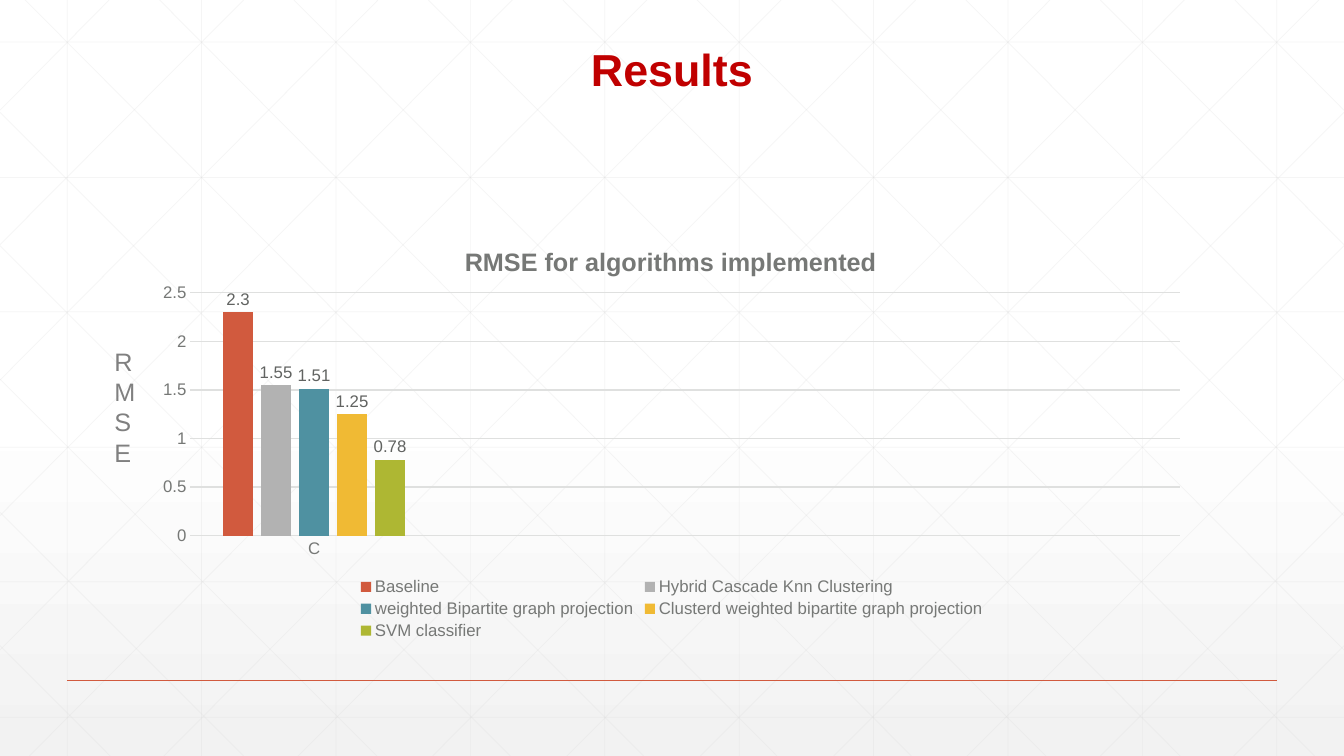
from lxml import etree
from pptx import Presentation
from pptx.chart.data import CategoryChartData
from pptx.dml.color import RGBColor
from pptx.enum.chart import XL_CHART_TYPE, XL_LABEL_POSITION, XL_LEGEND_POSITION, XL_TICK_MARK
from pptx.enum.shapes import MSO_CONNECTOR
from pptx.enum.text import MSO_ANCHOR, PP_ALIGN
from pptx.oxml import parse_xml
from pptx.oxml.ns import nsdecls, qn
from pptx.util import Pt

PX = 9525
WIDTH, HEIGHT = 1280, 720
FONT = "Arial"

STRAIGHT = MSO_CONNECTOR.STRAIGHT
COLUMNS = XL_CHART_TYPE.COLUMN_CLUSTERED
OUTSIDE_END = XL_LABEL_POSITION.OUTSIDE_END
BOTTOM = XL_LEGEND_POSITION.BOTTOM
NO_TICK = XL_TICK_MARK.NONE

WHITE = RGBColor(0xFF, 0xFF, 0xFF)
PALE_GREY = RGBColor(0xF2, 0xF2, 0xF2)
LATTICE_GREY = RGBColor(0xD9, 0xD9, 0xD9)
GRID_GREY = RGBColor(0xDF, 0xE0, 0xDF)
TEXT_GREY = RGBColor(0x76, 0x78, 0x76)
LABEL_GREY = RGBColor(0x61, 0x63, 0x61)
SIDE_GREY = RGBColor(0x80, 0x80, 0x80)
TITLE_RED = RGBColor(0xC0, 0x00, 0x00)
BRICK = RGBColor(0xD1, 0x5A, 0x3E)
SILVER = RGBColor(0xB2, 0xB2, 0xB2)
TEAL = RGBColor(0x4F, 0x91, 0xA1)
AMBER = RGBColor(0xF0, 0xBA, 0x34)
OLIVE = RGBColor(0xAE, 0xB7, 0x33)

ALGORITHMS = [
    ("Baseline", 2.3, BRICK),
    ("Hybrid Cascade Knn Clustering", 1.55, SILVER),
    ("weighted Bipartite graph projection", 1.51, TEAL),
    ("Clusterd weighted bipartite graph projection", 1.25, AMBER),
    ("SVM classifier", 0.78, OLIVE),
]


def style_font(font, size, color, bold=False):
    for name, value in {"name": FONT, "size": Pt(size), "bold": bold}.items():
        setattr(font, name, value)
    font.color.rgb = color


def draw_line(x1, y1, x2, y2, color, width, opacity=100):
    """Draw a shadowless line; opacity is in percent."""
    line = slide.shapes.add_connector(STRAIGHT, *(round(v) * PX for v in (x1, y1, x2, y2)))
    line.line.color.rgb = color
    line.line.width = Pt(width)
    properties = line._element.spPr
    etree.SubElement(properties, qn("a:effectLst"))
    if opacity < 100:
        rgb = properties.find(".//" + qn("a:srgbClr"))
        etree.SubElement(rgb, qn("a:alpha"), val=str(opacity * 1000))


prs = Presentation()
prs.slide_width, prs.slide_height = WIDTH * PX, HEIGHT * PX
slide = prs.slides.add_slide(prs.slide_layouts[6])

# Background
backdrop = slide.background.fill
backdrop.gradient()
backdrop.gradient_angle = 270
for stop, position, color in zip(backdrop.gradient_stops, (0.53, 1), (WHITE, PALE_GREY)):
    stop.position = position
    stop.color.rgb = color

# Lattice: verticals, horizontals, then diagonals with their mirror images
STEP, SLOPE = 128, 720 / 716
lattice = [(x, 0, x, HEIGHT) for x in range(64, WIDTH, STEP)]
lattice += [(0, 40 + 128.6 * i, WIDTH, 40 + 128.6 * i) for i in range(6)]
diagonals = []
for x in range(24, WIDTH, STEP):
    end = min(WIDTH, x + HEIGHT / SLOPE)
    diagonals.append((x, 0, end, (end - x) * SLOPE))
diagonals += [(0, y, HEIGHT - y, HEIGHT) for y in range(107, HEIGHT, 127)]
lattice += diagonals
lattice += [(WIDTH - x1, y1, WIDTH - x2, y2) for x1, y1, x2, y2 in diagonals]
for ends in lattice:
    draw_line(*ends, LATTICE_GREY, 0.5, 25)
draw_line(64, 648, 1216, 648, BRICK, 1)

# Slide title
heading = slide.shapes.add_textbox(136 * PX, 33 * PX, 1008 * PX, 63 * PX).text_frame
heading.word_wrap = True
heading.vertical_anchor = MSO_ANCHOR.BOTTOM
heading.text = "Results"
heading.paragraphs[0].alignment = PP_ALIGN.CENTER
heading.paragraphs[0].line_spacing = 0.9
style_font(heading.paragraphs[0].runs[0].font, 32, TITLE_RED, True)

# RMSE chart, with three empty categories after the first
errors = CategoryChartData()
errors.categories = ["C", "", "", ""]
for algorithm, rmse, _ in ALGORITHMS:
    errors.add_series(algorithm, (rmse, None, None, None))
chart = slide.shapes.add_chart(
    COLUMNS, 136 * PX, 213 * PX, 1008 * PX, 400 * PX, errors).chart
style_font(chart.font, 12, TEXT_GREY)

chart.has_title = True
chart_title = chart.chart_title.text_frame
chart_title.text = "RMSE for algorithms implemented"
style_font(chart_title.paragraphs[0].runs[0].font, 18, TEXT_GREY, True)

chart.has_legend = True
chart.legend.position = BOTTOM
chart.legend.include_in_layout = False
style_font(chart.legend.font, 12, TEXT_GREY)

columns = chart.plots[0]
for name, value in {"gap_width": 219, "overlap": -27, "vary_by_categories": False,
                    "has_data_labels": True}.items():
    setattr(columns, name, value)
columns.data_labels.show_value = True
columns.data_labels.position = OUTSIDE_END
style_font(columns.data_labels.font, 12, LABEL_GREY)
for series, (_, _, color) in zip(columns.series, ALGORITHMS):
    series.format.fill.solid()
    series.format.fill.fore_color.rgb = color

for axis in (chart.category_axis, chart.value_axis):
    axis.major_tick_mark = axis.minor_tick_mark = NO_TICK
    style_font(axis.tick_labels.font, 12, TEXT_GREY)
chart.value_axis.format.line.fill.background()
for name, value in {"minimum_scale": 0, "maximum_scale": 2.5, "major_unit": 0.5}.items():
    setattr(chart.value_axis, name, value)
for rule in (chart.category_axis.format.line, chart.value_axis.major_gridlines.format.line):
    rule.color.rgb = GRID_GREY
    rule.width = Pt(0.75)

# Places inside the chart, as fractions of its size
PLACES = [
    ("c:title", 1, {"x": 0.3, "y": 0.04}),
    ("c:plotArea", 0, {"layoutTarget": "inner", "x": 0.045, "y": 0.165, "w": 0.935, "h": 0.578}),
]
for tag, index, place in PLACES:
    part = chart._chartSpace.chart.find(qn(tag))
    for old in part.findall(qn("c:layout")):
        part.remove(old)
    layout = parse_xml(f"<c:layout {nsdecls('c')}><c:manualLayout/></c:layout>")
    modes = {"xMode": "edge", "yMode": "edge"}
    target = {key: place[key] for key in place if key == "layoutTarget"}
    for key, value in {**target, **modes, **place}.items():
        etree.SubElement(layout[0], qn("c:" + key), val=str(value))
    part.insert(index, layout)

# Value axis caption, one letter to a line
caption = slide.shapes.add_textbox(109 * PX, 325 * PX, 20 * PX, 126 * PX).text_frame
caption.word_wrap = True
caption.margin_left = caption.margin_right = 0
caption.text = "RMSE"
style_font(caption.paragraphs[0].runs[0].font, 18, SIDE_GREY)

prs.save("out.pptx")
